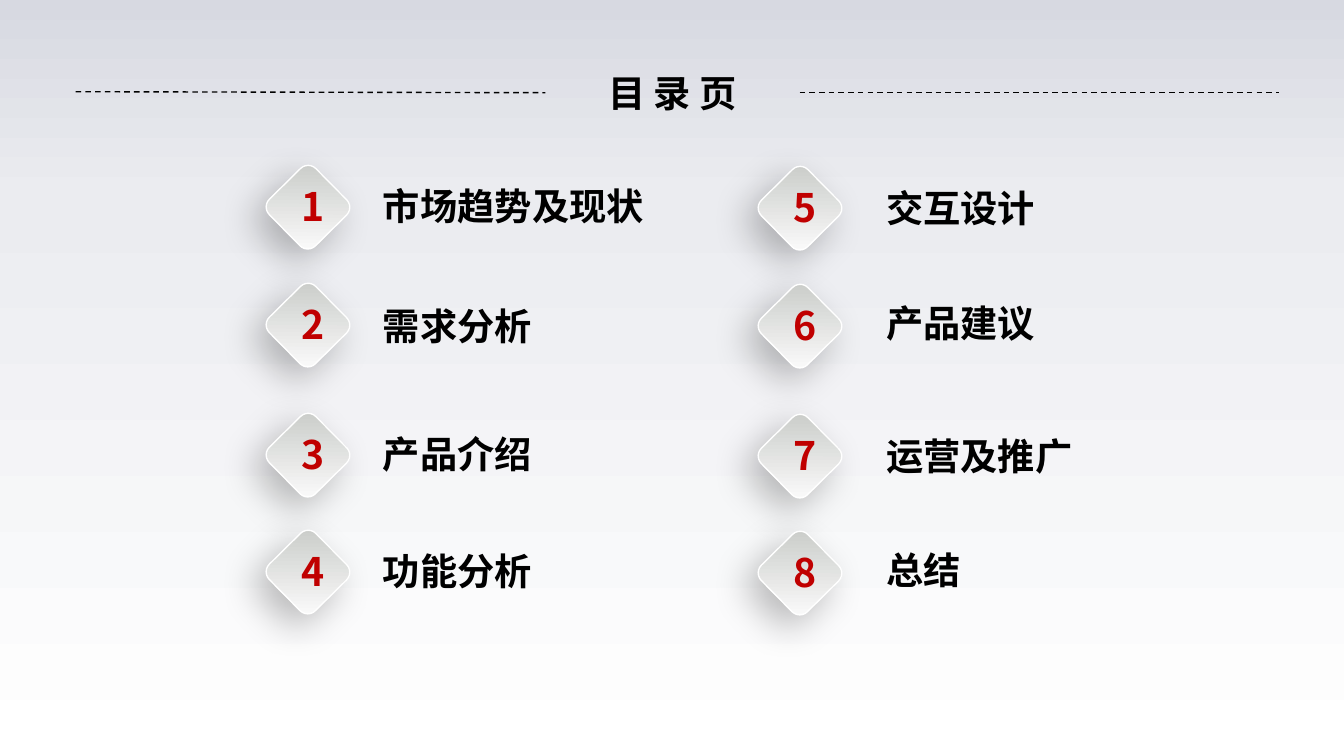
from dataclasses import dataclass

from lxml.etree import SubElement
from pptx import Presentation
from pptx.dml.color import RGBColor
from pptx.enum.dml import MSO_LINE
from pptx.enum.shapes import MSO_CONNECTOR as Connector, MSO_SHAPE as Preset
from pptx.enum.text import MSO_ANCHOR as Anchor, MSO_AUTO_SIZE as AutoSize, PP_ALIGN as Align
from pptx.oxml.ns import qn
from pptx.util import Inches, Pt

FONT = "Noto Sans CJK SC"
COLORS = {
    "text": "000000",
    "number": "C00000",
    "shadow": "000000",
    "badge_dark": "C9CBC8",
    "badge_light": "FCFCFC",
    "edge": "CFD4D0",
    "white": "FFFFFF",
    "sky_top": "D7D9E1",
    "sky_middle": "EBECF0",
}
BADGE_SIZE = 0.65
ROW_TOPS = (1.73, 2.9, 4.19, 5.35)


@dataclass(frozen=True)
class Entry:
    text: str
    label_top: float


@dataclass(frozen=True)
class Column:
    badge_left: float
    label_left: float
    offset: float
    entries: tuple[Entry, ...]


COLUMNS = (
    Column(2.73, 3.7, 0, (
        Entry("市场趋势及现状", 1.76),
        Entry("需求分析", 2.96),
        Entry("产品介绍", 4.23),
        Entry("功能分析", 5.39),
    )),
    Column(7.61, 8.69, 0.01, (
        Entry("交互设计", 1.78),
        Entry("产品建议", 2.93),
        Entry("运营及推广", 4.24),
        Entry("总结", 5.38),
    )),
)


def set_gradient(fill, owner, stops: list[tuple[int, str]], angle: int) -> None:
    """Fill with (percent, color name) stops at a clockwise angle."""
    fill.gradient()
    gradient = owner.find(".//" + qn("a:gradFill"))
    for child in list(gradient):
        gradient.remove(child)
    gradient.set("rotWithShape", "1")
    stop_list = SubElement(gradient, qn("a:gsLst"))
    for percent, color in stops:
        stop = SubElement(stop_list, qn("a:gs"), pos=str(percent * 1000))
        SubElement(stop, qn("a:srgbClr"), val=COLORS[color])
    SubElement(gradient, qn("a:lin"), ang=str(angle * 60000), scaled="0")


def write_text(shape, text: str, *, size: float = 26.6, color: str = "text",
               align: Align = Align.LEFT, inset: tuple[float, float] = (0.1, 0.05)) -> None:
    frame = shape.text_frame
    frame.word_wrap = True
    frame.auto_size = AutoSize.SHAPE_TO_FIT_TEXT
    frame.vertical_anchor = Anchor.MIDDLE
    frame.margin_left = frame.margin_right = Inches(inset[0])
    frame.margin_top = frame.margin_bottom = Inches(inset[1])
    paragraph = frame.paragraphs[0]
    paragraph.alignment = align
    run = paragraph.add_run()
    run.text = text
    run.font.size = Pt(size)
    run.font.bold = True
    run.font.name = FONT
    run.font.color.rgb = RGBColor.from_string(COLORS[color])
    SubElement(run.font._element, qn("a:ea"), typeface=FONT)


def add_text(shapes, text: str, left: float, top: float, width: float, height: float, **style) -> None:
    box = shapes.add_textbox(Inches(left), Inches(top), Inches(width), Inches(height))
    write_text(box, text, **style)


def add_rule(slide, left: float, right: float, start_y: float, end_y: float) -> None:
    rule = slide.shapes.add_connector(
        Connector.STRAIGHT, Inches(left), Inches(start_y), Inches(right), Inches(end_y))
    rule.line.color.rgb = RGBColor.from_string(COLORS["text"])
    rule.line.width = Pt(1)
    rule.line.dash_style = MSO_LINE.DASH
    SubElement(rule._element.spPr, qn("a:effectLst"))


def add_badge(slide, number: int, left: float, top: float) -> None:
    shapes = slide.shapes.add_group_shape().shapes
    diamond = shapes.add_shape(
        Preset.ROUNDED_RECTANGLE, Inches(left), Inches(top), Inches(BADGE_SIZE), Inches(BADGE_SIZE))
    diamond.rotation = 315.4
    properties = diamond._element.spPr
    set_gradient(diamond.fill, properties, [(0, "badge_dark"), (100, "badge_light")], 135)
    diamond.line.width = Pt(1)
    set_gradient(diamond.line.fill, properties.find(qn("a:ln")),
                 [(0, "edge"), (50, "white"), (100, "white")], 135)

    # Soft shadow towards the lower left
    diamond.shadow.inherit = False
    shadow = SubElement(
        properties.find(qn("a:effectLst")), qn("a:outerShdw"), blurRad=str(Pt(27)),
        dist=str(Pt(12)), dir=str(135 * 60000), algn="tr", rotWithShape="0")
    shadow_color = SubElement(shadow, qn("a:srgbClr"), val=COLORS["shadow"])
    SubElement(shadow_color, qn("a:alpha"), val="26000")

    add_text(shapes, str(number), left + 0.16, top + 0.03, 0.33, 0.57,
             size=28, color="number", align=Align.CENTER)


def main() -> None:
    presentation = Presentation()
    presentation.slide_width = Inches(13.33)
    presentation.slide_height = Inches(7.5)
    slide = presentation.slides.add_slide(presentation.slide_layouts[5])

    # Background
    set_gradient(slide.background.fill, slide._element,
                 [(0, "sky_top"), (26, "sky_middle"), (100, "white")], 90)

    # Title between two dashed rules
    add_rule(slide, 0.75, 5.41, 0.91, 0.92)
    add_rule(slide, 7.93, 12.69, 0.92, 0.92)
    title = slide.shapes.title
    title.left, title.top = Inches(5.2), Inches(0.69)
    title.width, title.height = Inches(2.94), Inches(0.45)
    write_text(title, "目 录 页", align=Align.CENTER, inset=(0, 0))

    # Numbered entries, down each column
    number = 1
    for column in COLUMNS:
        for row_top, entry in zip(ROW_TOPS, column.entries):
            add_badge(slide, number, column.badge_left, row_top + column.offset)
            add_text(slide.shapes, entry.text, column.label_left, entry.label_top, 3.02, 0.55)
            number += 1

    presentation.save("out.pptx")


if __name__ == "__main__":
    main()
